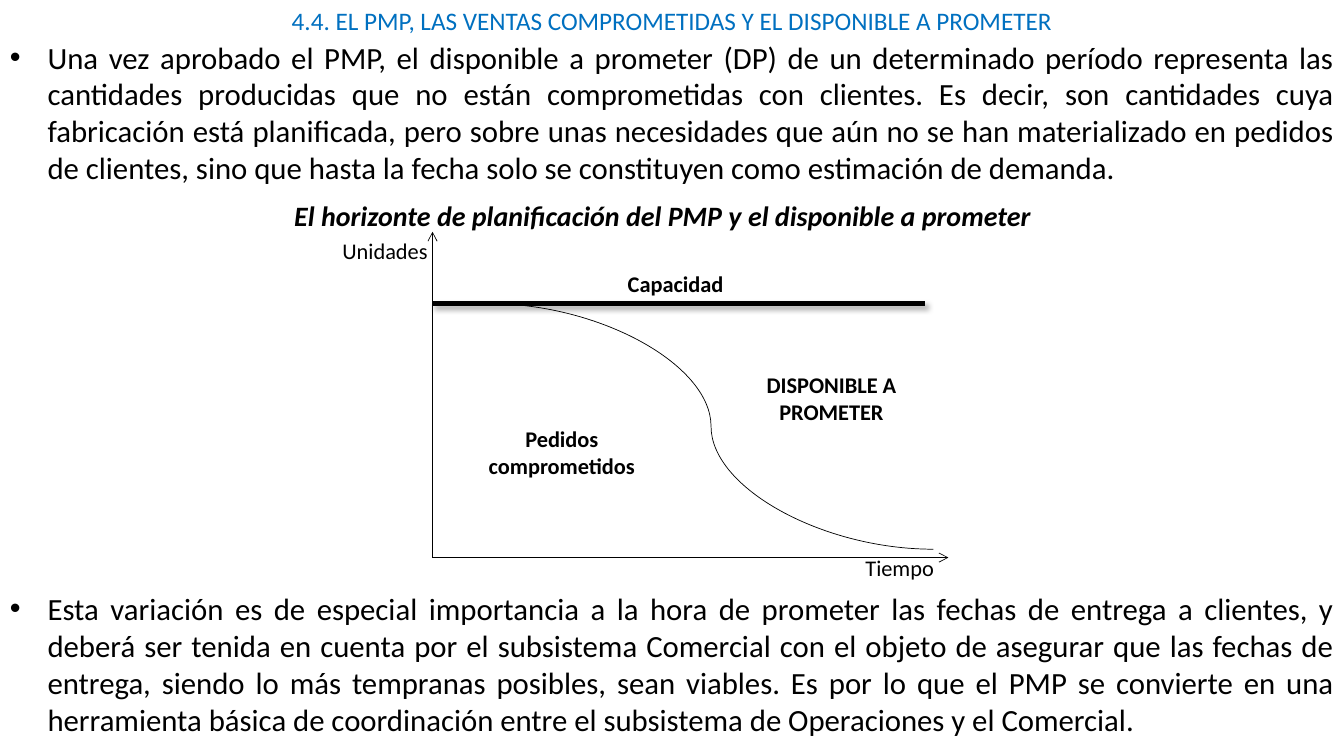
from dataclasses import dataclass

from lxml.etree import SubElement
from pptx import Presentation
from pptx.dml.color import RGBColor
from pptx.enum.shapes import MSO_CONNECTOR as Link
from pptx.enum.text import MSO_ANCHOR as Anchor, MSO_AUTO_SIZE as AutoSize, PP_ALIGN as Align
from pptx.oxml.ns import qn
from pptx.util import Cm, Pt


@dataclass(frozen=True)
class Theme:
    font: str = "Calibri"
    ink: RGBColor = RGBColor(0, 0, 0)
    accent: RGBColor = RGBColor(0x00, 0x70, 0xC0)
    title: int = 18
    body: int = 22
    caption: int = 20
    label: int = 16
    thin: float = 0.5
    thick: float = 3


class SlideBuilder:
    def __init__(self, deck, theme):
        self.theme = theme
        self.slide = deck.slides.add_slide(deck.slide_layouts[5])

    def _style(self, paragraph, size, align, color=None, bold=False, italic=False):
        paragraph.alignment = align
        font = paragraph.font
        font.name, font.size = self.theme.font, Pt(size)
        font.bold, font.italic = bold, italic
        font.color.rgb = color or self.theme.ink

    def _place(self, shape, box):
        shape.left, shape.top, shape.width, shape.height = map(Cm, box)

    def title(self, text, box):
        heading = self.slide.shapes.title
        self._place(heading, box)
        frame = heading.text_frame
        frame.text = text
        frame.word_wrap, frame.auto_size = True, AutoSize.NONE
        frame.vertical_anchor = Anchor.TOP
        self._style(frame.paragraphs[0], self.theme.title, Align.CENTER, self.theme.accent)

    def text(self, text, box, size, align=Align.CENTER, wrap=False, bullet=False, **emphasis):
        frame = self.slide.shapes.add_textbox(*map(Cm, box)).text_frame
        frame.text = text
        frame.word_wrap = wrap
        for paragraph in frame.paragraphs:
            if bullet:
                self._add_bullet(paragraph)
            self._style(paragraph, size, align, **emphasis)

    def _add_bullet(self, paragraph):
        properties = paragraph._p.get_or_add_pPr()
        properties.set("marL", str(Cm(0.95)))
        properties.set("indent", str(-Cm(0.95)))
        SubElement(properties, qn("a:buFont"), typeface="Arial")
        SubElement(properties, qn("a:buChar"), char="•")

    def body(self, text, top):
        self.text(text, (0, top, SLIDE_WIDTH, 4.01), self.theme.body,
                  Align.JUSTIFY, wrap=True, bullet=True)

    def label(self, text, box, **options):
        self.text(text, box, self.theme.label, **options)

    def line(self, start, end, weight, kind=Link.STRAIGHT, arrow=False, shadow=False):
        link = self.slide.shapes.add_connector(kind, *map(Cm, start + end))
        link.line.color.rgb = self.theme.ink
        link.line.width = Pt(weight)
        if arrow:
            SubElement(link.line._ln, qn("a:tailEnd"), type="arrow")
        effects = SubElement(link._element.spPr, qn("a:effectLst"))
        if shadow:
            self._add_shadow(effects)

    def _add_shadow(self, effects):
        outer = SubElement(effects, qn("a:outerShdw"), blurRad=str(Pt(4)), dist=str(Pt(3)),
                           dir=str(45 * 60000), algn="tl", rotWithShape="0")
        color = SubElement(outer, qn("a:srgbClr"), val=str(self.theme.ink))
        SubElement(color, qn("a:alpha"), val="40000")


SLIDE_WIDTH, SLIDE_HEIGHT = 33.87, 19.05
AXIS_LEFT, AXIS_RIGHT = 10.9, 23.9
AXIS_TOP, AXIS_BOTTOM = 5.84, 14.05
CAPACITY_Y = 7.65
ORDERS_END_Y = 13.84
LINE_HEIGHT, TWO_LINES = 0.94, 1.63


def main():
    deck = Presentation()
    deck.slide_width, deck.slide_height = Cm(SLIDE_WIDTH), Cm(SLIDE_HEIGHT)
    theme = Theme()
    page = SlideBuilder(deck, theme)

    page.title("4.4. EL PMP, LAS VENTAS COMPROMETIDAS Y EL DISPONIBLE A PROMETER",
               (0, 0, SLIDE_WIDTH, 1.02))
    page.body("Una vez aprobado el PMP, el disponible a prometer (DP) de un determinado período "
              "representa las cantidades producidas que no están comprometidas con clientes. "
              "Es decir, son cantidades cuya fabricación está planificada, pero sobre unas "
              "necesidades que aún no se han materializado en pedidos de clientes, sino que "
              "hasta la fecha solo se constituyen como estimación de demanda.", 0.84)

    origin = (AXIS_LEFT, AXIS_BOTTOM)
    page.line(origin, (AXIS_LEFT, AXIS_TOP), theme.thin, arrow=True)
    page.line(origin, (AXIS_RIGHT, AXIS_BOTTOM), theme.thin, arrow=True)
    page.line((AXIS_LEFT, CAPACITY_Y), (23.32, CAPACITY_Y), theme.thick, shadow=True)
    page.label("Capacidad", (15.57, 6.68, 2.95, LINE_HEIGHT), align=Align.LEFT, bold=True)
    page.label("Unidades", (8.38, AXIS_TOP, 2.74, LINE_HEIGHT), align=Align.LEFT)
    page.label("Tiempo", (21.56, ORDERS_END_Y, 2.29, LINE_HEIGHT), align=Align.LEFT)
    page.line((12.32, CAPACITY_Y), (23.52, ORDERS_END_Y), theme.thin, kind=Link.CURVE)
    page.label("Pedidos\ncomprometidos", (12.04, 10.59, 4.24, TWO_LINES), bold=True)
    page.label("DISPONIBLE A PROMETER", (19.05, 9.22, 3.81, TWO_LINES), wrap=True, bold=True)

    page.body("Esta variación es de especial importancia a la hora de prometer las fechas de "
              "entrega a clientes, y deberá ser tenida en cuenta por el subsistema Comercial con "
              "el objeto de asegurar que las fechas de entrega, siendo lo más tempranas posibles, "
              "sean viables. Es por lo que el PMP se convierte en una herramienta básica de "
              "coordinación entre el subsistema de Operaciones y el Comercial.", 14.73)
    page.text("El horizonte de planificación del PMP y el disponible a prometer",
              (7.11, 4.88, 19.18, 1.12), theme.caption, bold=True, italic=True)

    deck.save("out.pptx")


if __name__ == "__main__":
    main()
